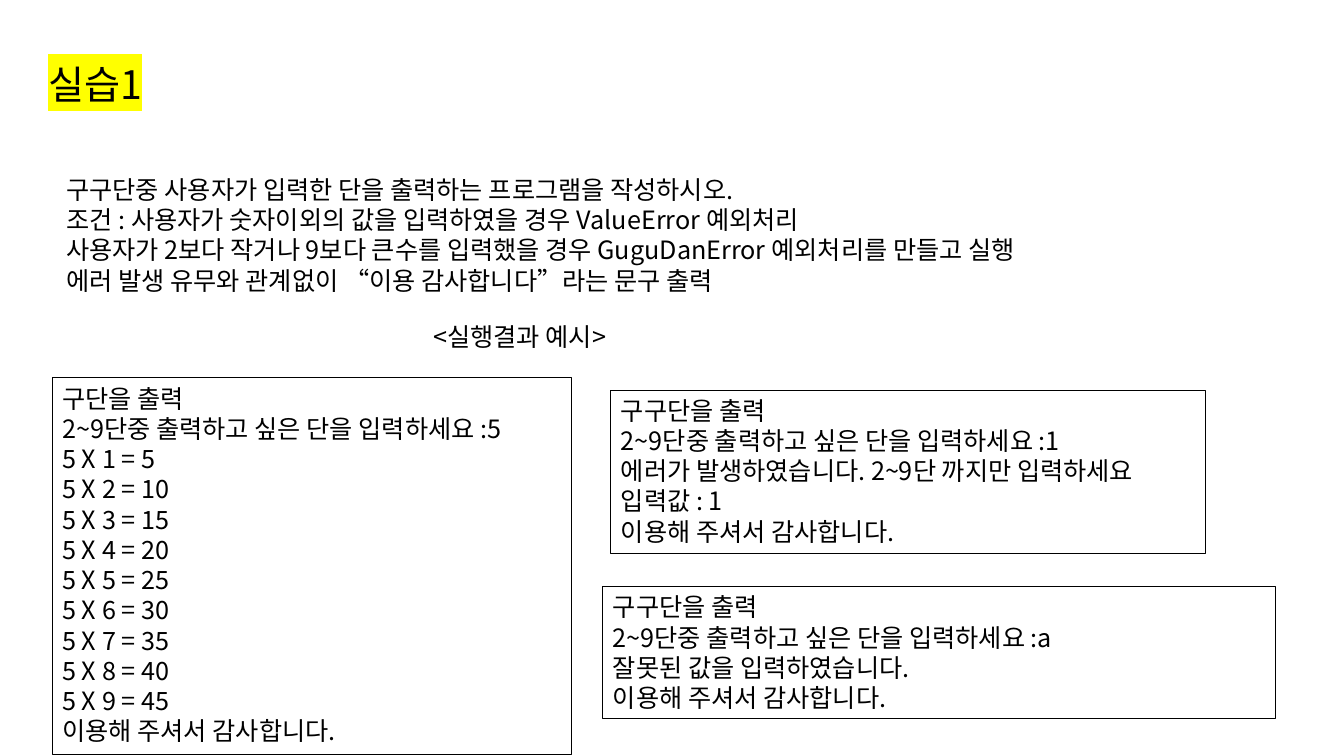
import pptx
import pptx.dml.color
import pptx.enum.text
import pptx.oxml
import pptx.oxml.ns
import pptx.util

COLOURS = {"ink": "000000", "marker": "FFFF00", "paper": "FFFFFF"}
FONT = "Noto Sans CJK KR"
WIDTH, HEIGHT = 13.33, 7.5
THANKS = "이용해 주셔서 감사합니다."
PROMPT = "2~9단중 출력하고 싶은 단을 입력하세요 :"

TASK = [
    "구구단중 사용자가 입력한 단을 출력하는 프로그램을 작성하시오.",
    "조건 : 사용자가 숫자이외의 값을 입력하였을 경우 ValueError 예외처리",
    "사용자가 2보다 작거나 9보다 큰수를 입력했을 경우 GuguDanError 예외처리를 만들고 실행",
    "에러 발생 유무와 관계없이 “이용 감사합니다”라는 문구 출력",
]
TIMES_TABLE = [f"5 X {factor} = {5 * factor}" for factor in range(1, 10)]
EXAMPLES = [
    ((0.52, 3.75, 5.15, 3.74), ["구단을 출력", PROMPT + "5", *TIMES_TABLE, THANKS]),
    ((6.06, 3.87, 5.9, 1.62), [
        "구구단을 출력", PROMPT + "1",
        "에러가 발생하였습니다. 2~9단 까지만 입력하세요", "입력값 : 1", THANKS,
    ]),
    ((5.98, 5.82, 6.67, 1.31), [
        "구구단을 출력", PROMPT + "a", "잘못된 값을 입력하였습니다.", THANKS,
    ]),
]


def colour(name):
    """Return the named colour as an RGB value."""
    return pptx.dml.color.RGBColor.from_string(COLOURS[name])


def set_values(target, values):
    """Set each attribute in values on the target."""
    for name, value in values.items():
        setattr(target, name, value)


def add_child(parent, tag, **attributes):
    """Append a drawing element to the parent and return it."""
    child = pptx.oxml.parse_xml(f"<a:{tag} {pptx.oxml.ns.nsdecls('a')}/>")
    for name, value in attributes.items():
        child.set(name, value)
    parent.append(child)
    return child


def write_lines(frame, lines, size, marker=None, **para_format):
    """Write one paragraph for each line in the slide's font."""
    for index, line in enumerate(lines):
        para = frame.paragraphs[0] if index == 0 else frame.add_paragraph()
        set_values(para, {"alignment": pptx.enum.text.PP_ALIGN.LEFT, **para_format})
        span = para.add_run()
        span.text = line
        set_values(span.font, {"size": pptx.util.Pt(size)})
        span.font.color.rgb = colour("ink")
        properties = span.font._element
        if marker:
            add_child(add_child(properties, "highlight"), "srgbClr", val=COLOURS[marker])
        add_child(properties, "latin", typeface=FONT)
        add_child(properties, "ea", typeface=FONT)


def place_title(page, area, text):
    """Place the highlighted title in the given area."""
    title = page.shapes.title
    edges = map(pptx.util.Inches, area)
    set_values(title, dict(zip(("left", "top", "width", "height"), edges)))
    set_values(title.text_frame, {
        "auto_size": pptx.enum.text.MSO_AUTO_SIZE.NONE,
        "vertical_anchor": pptx.enum.text.MSO_ANCHOR.BOTTOM,
        "word_wrap": True,
    })
    write_lines(title.text_frame, [text], 28, marker="marker", line_spacing=0.9)


def add_text(page, area, lines, framed=False):
    """Add body lines in the given area, framed by a thin line on request."""
    box = page.shapes.add_textbox(*map(pptx.util.Inches, area))
    set_values(box.text_frame, {
        "word_wrap": True,
        "auto_size": pptx.enum.text.MSO_AUTO_SIZE.SHAPE_TO_FIT_TEXT,
    })
    if framed:
        box.line.color.rgb = colour("ink")
        box.line.width = pptx.util.Pt(0.75)
    write_lines(box.text_frame, lines, 18)


def build_exercise(deck):
    """Build the exercise slide with its task and sample outputs."""
    page = deck.slides.add_slide(deck.slide_layouts[5])
    page.background.fill.solid()
    page.background.fill.fore_color.rgb = colour("paper")
    place_title(page, (0.38, 0.46, 1.42, 0.66), "실습1")
    add_text(page, (0.56, 1.68, 12.08, 1.31), TASK)
    for area, lines in EXAMPLES:
        add_text(page, area, lines, framed=True)
    add_text(page, (4.2, 3.14, 3.93, 0.4), ["<실행결과 예시>"])


def main():
    """Create the deck and save it."""
    deck = pptx.Presentation()
    set_values(deck, {
        "slide_width": pptx.util.Inches(WIDTH),
        "slide_height": pptx.util.Inches(HEIGHT),
    })
    build_exercise(deck)
    deck.save("out.pptx")


if __name__ == "__main__":
    main()
